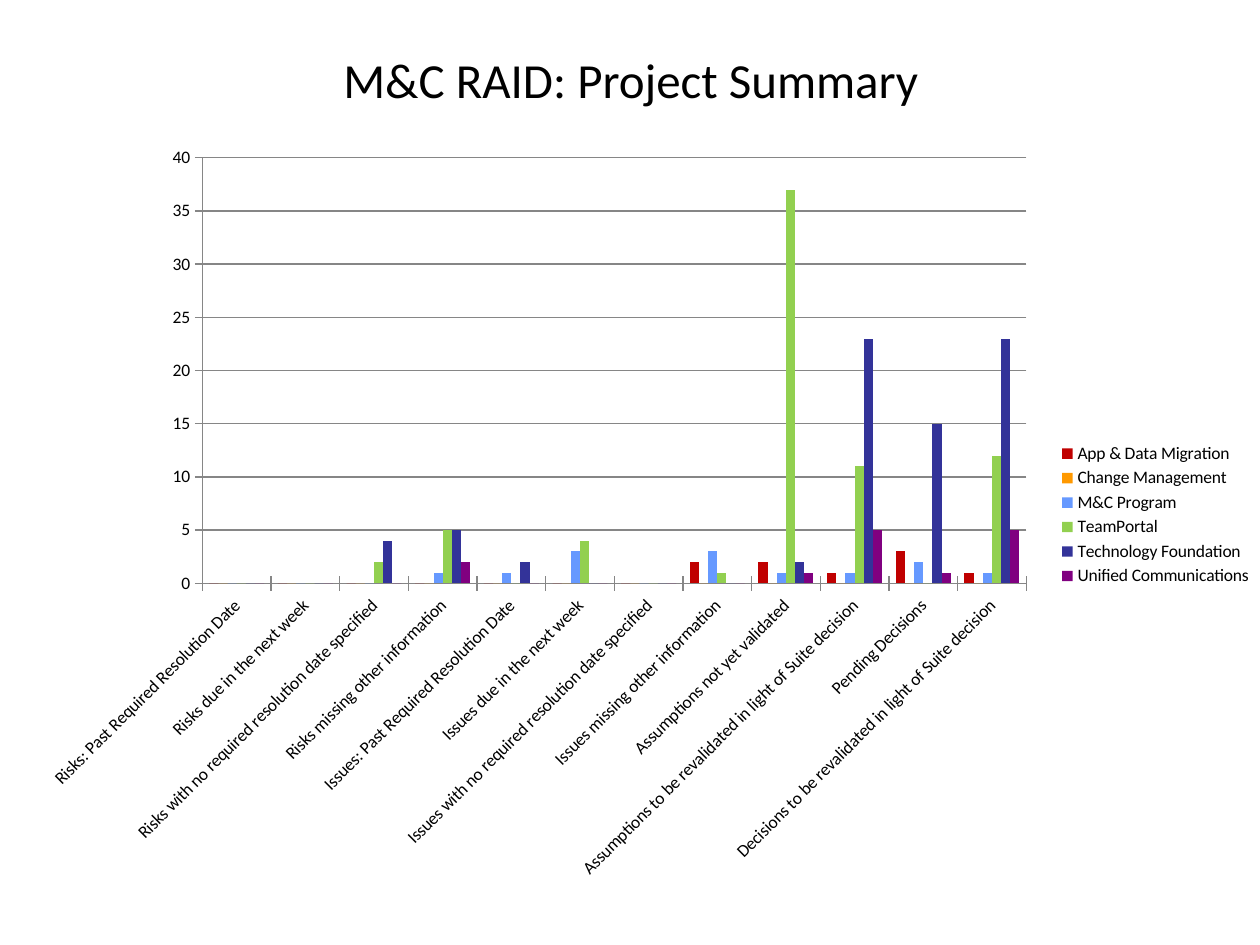
from pptx import Presentation
from pptx.chart.data import CategoryChartData
from pptx.dml.color import RGBColor
from pptx.enum.chart import XL_CHART_TYPE as ChartType, XL_LEGEND_POSITION as LegendPos, XL_TICK_MARK as Tick
from pptx.enum.text import MSO_ANCHOR as Anchor, PP_ALIGN as Align
from pptx.oxml import parse_xml
from pptx.oxml.ns import nsdecls, qn
from pptx.util import Cm, Pt

BLACK = RGBColor(0, 0, 0)
GRAY = RGBColor(0x86, 0x86, 0x86)
FONT = "Calibri"
TITLE = "M&C RAID: Project Summary"
CATEGORIES = [
    "Risks: Past Required Resolution Date",
    "Risks due in the next week",
    "Risks with no required resolution date specified",
    "Risks missing other information",
    "Issues: Past Required Resolution Date",
    "Issues due in the next week",
    "Issues with no required resolution date specified",
    "Issues missing other information",
    "Assumptions not yet validated",
    "Assumptions to be revalidated in light of Suite decision",
    "Pending Decisions",
    "Decisions to be revalidated in light of Suite decision",
]
PROJECTS = [
    ("App & Data Migration", RGBColor(0xC0, 0, 0), (0, 0, 0, 0, 0, 0, 0, 2, 2, 1, 3, 1)),
    ("Change Management", RGBColor(0xFF, 0x99, 0), (0,) * len(CATEGORIES)),
    ("M&C Program", RGBColor(0x66, 0x99, 0xFF), (0, 0, 0, 1, 1, 3, 0, 3, 1, 1, 2, 1)),
    ("TeamPortal", RGBColor(0x92, 0xD0, 0x50), (0, 0, 2, 5, 0, 4, 0, 1, 37, 11, 0, 12)),
    ("Technology Foundation", RGBColor(0x33, 0x33, 0x99), (0, 0, 4, 5, 2, 0, 0, 0, 2, 23, 15, 23)),
    ("Unified Communications", RGBColor(0x80, 0, 0x80), (0, 0, 0, 2, 0, 0, 0, 0, 1, 5, 1, 5)),
]


def place(part, index, x, y, w, h, target=""):
    for old in part.findall(qn("c:layout")):
        part.remove(old)
    part.insert(index, parse_xml(
        f'<c:layout {nsdecls("c")}><c:manualLayout>{target}'
        '<c:xMode val="edge"/><c:yMode val="edge"/>'
        f'<c:x val="{x}"/><c:y val="{y}"/><c:w val="{w}"/><c:h val="{h}"/>'
        '</c:manualLayout></c:layout>'))


def add_summary_chart(slide):
    data = CategoryChartData()
    data.categories = CATEGORIES
    for name, _, counts in PROJECTS:
        data.add_series(name, counts)
    chart = slide.shapes.add_chart(
        ChartType.COLUMN_CLUSTERED, Cm(0.61), Cm(2.72), Cm(24.79), Cm(15.32), data).chart
    chart.has_title = False
    chart.font.name, chart.font.size = FONT, Pt(10)
    chart.font.color.rgb = BLACK

    plot = chart.plots[0]
    plot.vary_by_categories = False
    plot.gap_width, plot.overlap = 150, 0
    for series, (_, color, _) in zip(plot.series, PROJECTS):
        series.format.fill.solid()
        series.format.fill.fore_color.rgb = color

    counts, topics = chart.value_axis, chart.category_axis
    counts.minimum_scale, counts.maximum_scale, counts.major_unit = 0, 40, 5
    counts.has_major_gridlines = True
    for part in (counts, topics, counts.major_gridlines):
        part.format.line.color.rgb = GRAY
        part.format.line.width = Pt(0.75)
    for axis in (counts, topics):
        axis.major_tick_mark = Tick.CROSS
        axis.tick_labels.font.size = Pt(10)
    topics._element.find(qn("c:txPr")).find(qn("a:bodyPr")).set("rot", "-2700000")

    chart.has_legend = True
    chart.legend.position = LegendPos.RIGHT
    chart.legend.include_in_layout = False
    chart.legend.font.size = Pt(10)
    place(chart.legend._element, 1, 0.83, 0.4, 0.17, 0.2)
    place(topics._element.getparent(), 0, 0.14, 0.03, 0.67, 0.56,
          '<c:layoutTarget val="inner"/>')


def add_heading(slide):
    frame = slide.shapes.add_textbox(Cm(1.27), Cm(0.64), Cm(22.89), Cm(1.9)).text_frame
    frame.word_wrap = True
    frame.vertical_anchor = Anchor.MIDDLE
    heading = frame.paragraphs[0]
    heading.text = TITLE
    heading.alignment = Align.CENTER
    heading.font.name, heading.font.size = FONT, Pt(28)
    heading.font.color.rgb = BLACK


def main():
    deck = Presentation()
    deck.slide_width, deck.slide_height = Cm(25.4), Cm(19.05)
    slide = deck.slides.add_slide(deck.slide_layouts[6])
    add_summary_chart(slide)
    add_heading(slide)
    deck.save("out.pptx")


if __name__ == "__main__":
    main()
